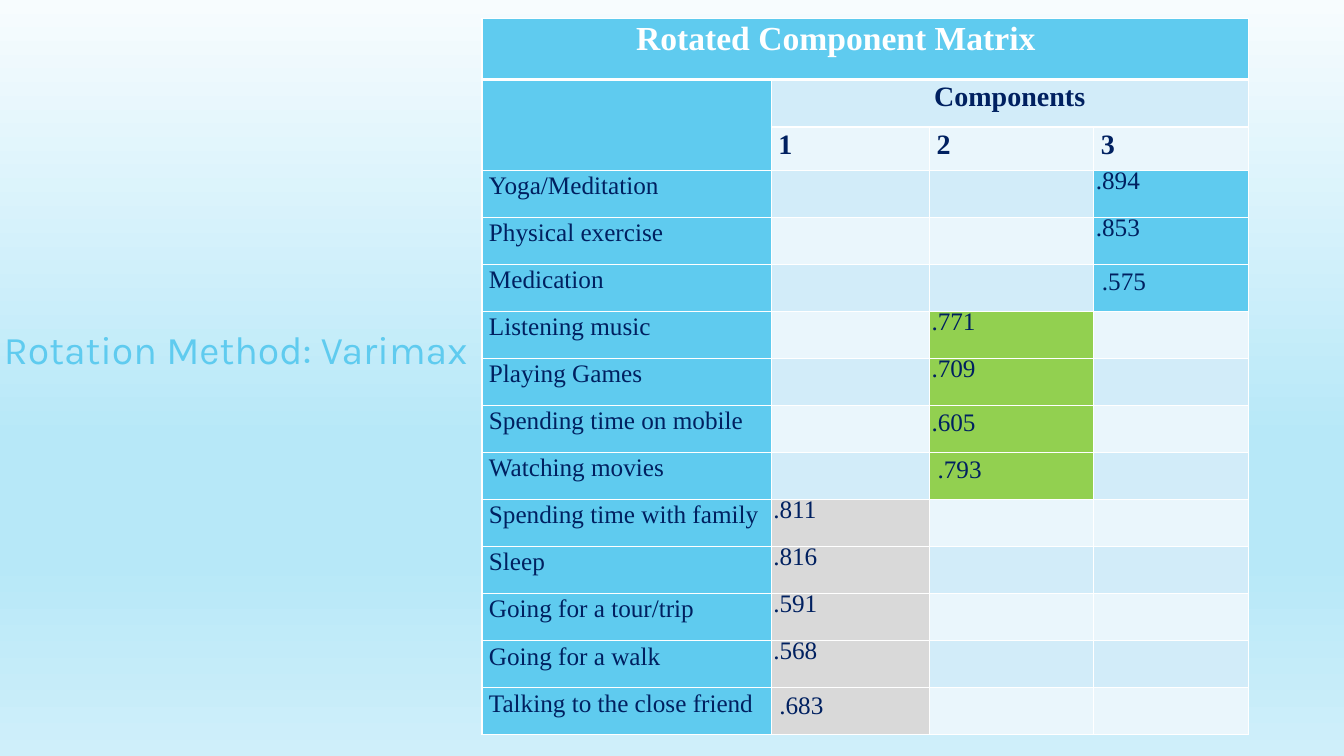
"""Build the rotated component matrix slide."""
from dataclasses import dataclass

from lxml import etree
from pptx import Presentation, util as u
from pptx.dml import color
from pptx.enum import text
from pptx.oxml import ns

HUES = {"sky": "5FCBEF", "pale": "D2ECF9", "mist": "EAF6FC", "navy": "002060",
        "green": "92D050", "gray": "D9D9D9", "white": "FFFFFF"}
STOPS = ((0, "F7FCFE"), (58, "B7E8F8"), (74, "B7E8F8"), (100, "CFEFFA"))
COLS = (2.87, 1.57, 1.63, 1.53)
HEADS = (0.61, 0.47, 0.43)
BODY = 5.6
FILLS = {1: "gray", 2: "green", 3: "sky"}
FONT = "Times New Roman"


@dataclass
class Item:
    """One activity and its loading on a component."""
    label: str
    col: int
    value: str
    exact: bool = True
    left: float = 0.02


@dataclass
class Style:
    """Look of the text in a cell."""
    size: int = 18
    bold: bool = False
    hue: str = "navy"
    mid: bool = False
    exact: bool = False
    pads: tuple[float, float, float, float] = (0.07, 0, 0.07, 0)


ITEMS = (
    Item("Yoga/Meditation", 3, ".894"),
    Item("Physical exercise", 3, ".853"),
    Item("Medication", 3, ".575", False, 0.08),
    Item("Listening music", 2, ".771"),
    Item("Playing Games", 2, ".709"),
    Item("Spending time on mobile", 2, ".605", False),
    Item("Watching movies", 2, ".793", False, 0.08),
    Item("Spending time with family", 1, ".811"),
    Item("Sleep", 1, ".816"),
    Item("Going for a tour/trip", 1, ".591"),
    Item("Going for a walk", 1, ".568"),
    Item("Talking to the close friend", 1, ".683", False, 0.08),
)


def rgb(name: str) -> color.RGBColor:
    """Look up a named colour."""
    return color.RGBColor.from_string(HUES[name])


def edge(cell, side: str, width: float) -> None:
    """Add a white border on one side of a cell."""
    line = etree.SubElement(cell._tc.get_or_add_tcPr(), ns.qn(f"a:ln{side}"),
                            w=str(u.Pt(width)))
    fill = etree.SubElement(line, ns.qn("a:solidFill"))
    etree.SubElement(fill, ns.qn("a:srgbClr"), val=HUES["white"])


def paint(cell, hue: str) -> None:
    """Fill a cell."""
    cell.fill.solid()
    cell.fill.fore_color.rgb = rgb(hue)


def write(cell, words: str, style: Style) -> None:
    """Put styled text in a cell."""
    (cell.margin_left, cell.margin_top,
     cell.margin_right, cell.margin_bottom) = map(u.Inches, style.pads)
    cell.text = words
    para = cell.text_frame.paragraphs[0]
    para.alignment = text.PP_ALIGN.CENTER if style.mid else text.PP_ALIGN.LEFT
    para.line_spacing = u.Pt(16) if style.exact else 1.07
    font = para.font
    font.name, font.size, font.bold = FONT, u.Pt(style.size), style.bold
    font.color.rgb = rgb(style.hue)


def shade(slide) -> None:
    """Give the slide its gradient background."""
    fill = slide.background.fill
    fill.gradient()
    fill.gradient_angle = 270
    stops = next(slide.element.iter(ns.qn("a:gsLst")))
    for old in list(stops):
        stops.remove(old)
    for pos, hue in STOPS:
        stop = etree.SubElement(stops, ns.qn("a:gs"), pos=str(pos * 1000))
        etree.SubElement(stop, ns.qn("a:srgbClr"), val=hue)


def matrix(slide) -> None:
    """Draw the table of loadings."""
    rows = HEADS + (BODY / len(ITEMS),) * len(ITEMS)
    table = slide.shapes.add_table(
        len(rows), len(COLS), u.Inches(4.78), u.Inches(0.18),
        u.Inches(sum(COLS)), u.Inches(sum(rows))).table
    table.first_row = table.horz_banding = False
    for col, width in zip(table.columns, COLS):
        col.width = u.Inches(width)
    for row, height in enumerate(rows):
        table.rows[row].height = u.Inches(height)
        for col in range(len(COLS)):
            cell = table.cell(row, col)
            for side in "LRTB":
                thick = (row, side) in ((0, "B"), (1, "T"))
                edge(cell, side, 3 if thick else 1)
            band = "pale" if row % 2 else "mist"
            paint(cell, "sky" if row == 0 or col == 0 else band)
    for first, last in (((0, 0), (0, 3)), ((1, 0), (2, 0)), ((1, 1), (1, 3))):
        table.cell(*first).merge(table.cell(*last))
    write(table.cell(0, 0), "Rotated Component Matrix",
          Style(24, True, "white", True, pads=(0.07, 0, 0.65, 0)))
    write(table.cell(1, 1), "Components", Style(20, True, mid=True))
    for col in FILLS:
        write(table.cell(2, col), str(col), Style(20, True))
    for row, item in enumerate(ITEMS, len(HEADS)):
        write(table.cell(row, 0), item.label, Style())
        cell = table.cell(row, item.col)
        paint(cell, FILLS[item.col])
        write(cell, item.value,
              Style(exact=item.exact, pads=(item.left, 0.02, 0.02, 0.02)))


def method(slide) -> None:
    """Add the rotation method label."""
    frame = slide.shapes.add_textbox(
        u.Inches(-0.06), u.Inches(3.18), u.Inches(4.85), u.Inches(0.57)).text_frame
    frame.word_wrap = True
    frame.auto_size = text.MSO_AUTO_SIZE.SHAPE_TO_FIT_TEXT
    para = frame.paragraphs[0]
    para.text = "Rotation Method: Varimax"
    para.font.name, para.font.size = "Karla", u.Pt(28)
    para.font.color.rgb = rgb("sky")


def main() -> None:
    """Build and save the deck."""
    deck = Presentation()
    deck.slide_width, deck.slide_height = u.Inches(13.33), u.Inches(7.5)
    slide = deck.slides.add_slide(deck.slide_layouts[6])
    shade(slide)
    matrix(slide)
    method(slide)
    deck.save("out.pptx")


if __name__ == "__main__":
    main()
